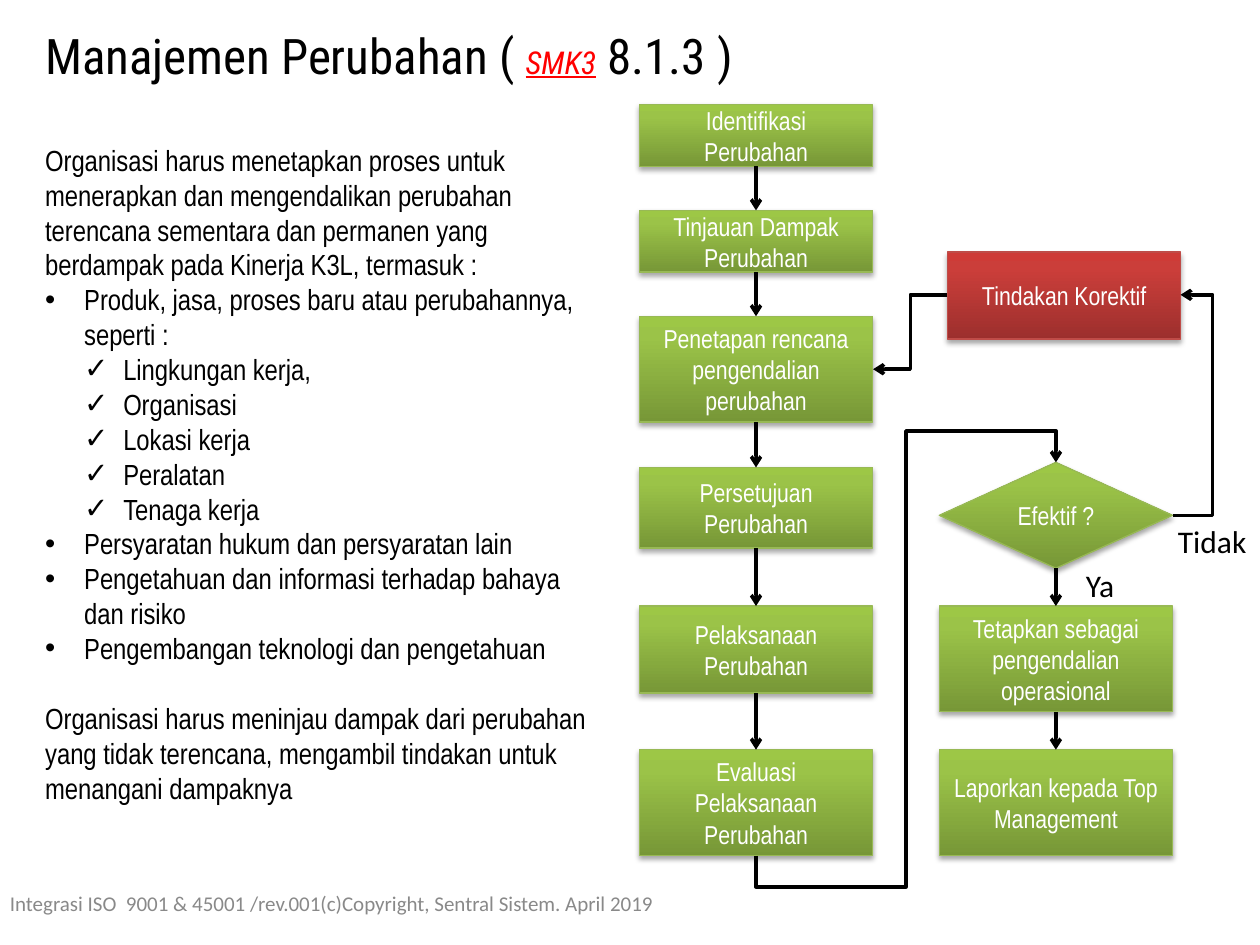
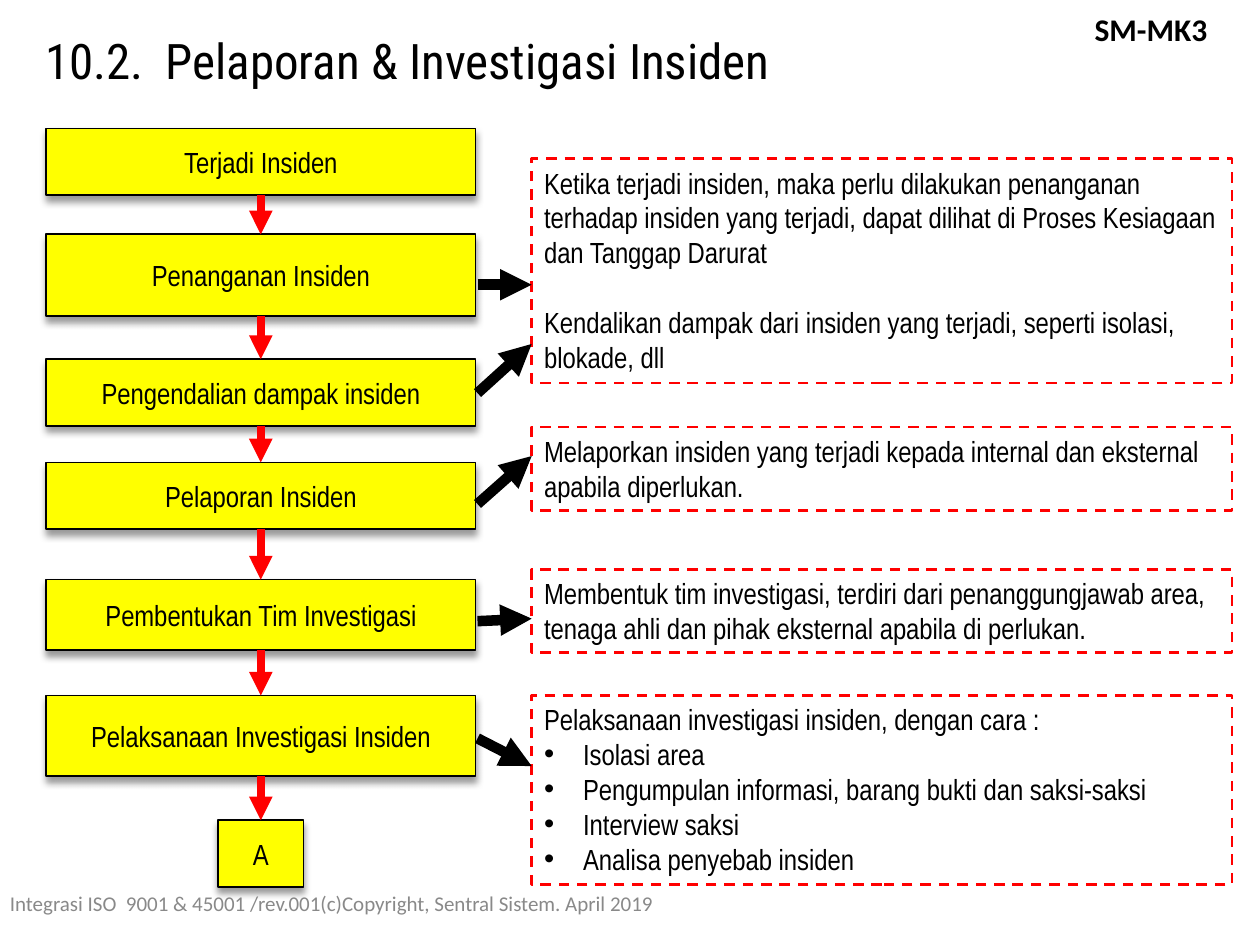
from copy import deepcopy

from pptx import Presentation
from pptx.dml.color import RGBColor
from pptx.enum.dml import MSO_LINE
from pptx.enum.shapes import MSO_CONNECTOR, MSO_SHAPE
from pptx.enum.text import MSO_ANCHOR, MSO_AUTO_SIZE, PP_ALIGN
from pptx.oxml.ns import qn
from pptx.oxml.xmlchemy import OxmlElement
from pptx.util import Inches, Pt

RECT = MSO_SHAPE.RECTANGLE
DECISION = MSO_SHAPE.FLOWCHART_DECISION
STRAIGHT = MSO_CONNECTOR.STRAIGHT
ELBOW = MSO_CONNECTOR.ELBOW
DASH = MSO_LINE.DASH
LEFT = PP_ALIGN.LEFT
CENTER = PP_ALIGN.CENTER
TOP = MSO_ANCHOR.TOP
MIDDLE = MSO_ANCHOR.MIDDLE
GROW = MSO_AUTO_SIZE.SHAPE_TO_FIT_TEXT
FIXED = MSO_AUTO_SIZE.NONE

BLACK = RGBColor(0x00, 0x00, 0x00)
WHITE = RGBColor(0xFF, 0xFF, 0xFF)
RED = RGBColor(0xFF, 0x00, 0x00)
YELLOW = RGBColor(0xFF, 0xFF, 0x00)
GRAY = RGBColor(0x89, 0x89, 0x89)
GREEN_EDGE = RGBColor(0x98, 0xB9, 0x55)
GREENS = [RGBColor(0x77, 0x97, 0x37), RGBColor(0x9B, 0xC3, 0x48), RGBColor(0x9D, 0xC7, 0x46)]
BRICK_EDGE = RGBColor(0xBF, 0x4C, 0x48)
BRICKS = [RGBColor(0x9C, 0x2F, 0x2D), RGBColor(0xCB, 0x3E, 0x3A), RGBColor(0xCE, 0x3B, 0x37)]

TITLE = {"name": "Roboto Condensed", "size": Pt(28), "color": BLACK}
TITLE_REF = {**TITLE, "size": Pt(18), "color": RED, "italic": True, "underline": True}
BODY = {"name": "Arial Narrow", "size": Pt(16.6), "color": BLACK}
STEP = {**BODY, "size": Pt(14.8), "color": WHITE}
LABEL = {"name": "Calibri", "size": Pt(18), "color": BLACK}
TAG = {**LABEL, "bold": True}
FOOTER = {**LABEL, "size": Pt(12), "color": GRAY}

GREEN_BOX = {"fill": GREENS, "edge": GREEN_EDGE, "weight": 0.75, "shadow": (35, 3.1, 1.8), "font": STEP}
RED_BOX = {**GREEN_BOX, "fill": BRICKS, "edge": BRICK_EDGE}
YELLOW_BOX = {"fill": YELLOW, "edge": BLACK, "weight": 1, "shadow": (40, 4, 3), "font": BODY}

FLOW_ARROW = {"color": BLACK, "weight": 2, "head": "arrow"}
RED_ARROW = {"color": RED, "weight": 4.5, "head": "triangle"}
NOTE_ARROW = {"color": BLACK, "weight": 6, "head": "triangle"}

INDENT = 0.31
PARAGRAPH_GAP = Pt(20)
FOOTER_TEXT = "Integrasi ISO  9001 & 45001 /rev.001(c)Copyright, Sentral Sistem. April 2019"


def add_xml(parent, tag, **attributes):
    child = OxmlElement(tag)
    for name, value in attributes.items():
        child.set(name, str(value))
    parent.append(child)
    return child


def bullet(text, char="•", level=1):
    return {"text": text, "char": char, "level": level}


def check(text):
    return bullet(text, "✓", 2)


def spaced(text):
    return {"text": text, "gap": PARAGRAPH_GAP}


class Deck:
    def __init__(self):
        self.prs = Presentation()
        self.prs.slide_width = Inches(10)
        self.prs.slide_height = Inches(7.5)
        self.shapes = None

    def new_slide(self, title, top):
        self.shapes = self.prs.slides.add_slide(self.prs.slide_layouts[6]).shapes
        self.text(0.26, top, 9.7, 0.57, [title], TITLE, auto=GROW)
        self.text(-0.02, 6.97, 5.36, 0.4, [FOOTER_TEXT], FOOTER, anchor=MIDDLE)

    def set_text(self, sp, paragraphs, fmt, align=LEFT, anchor=TOP, wrap=True, auto=FIXED):
        tf = sp.text_frame
        settings = {"word_wrap": wrap, "auto_size": auto, "vertical_anchor": anchor}
        for name, value in settings.items():
            setattr(tf, name, value)
        for i, item in enumerate(paragraphs):
            p = tf.add_paragraph() if i else tf.paragraphs[0]
            p.alignment = align
            if isinstance(item, dict):
                self.layout_paragraph(p, item)
                item = item["text"]
            for text, run_fmt in [(item, fmt)] if isinstance(item, str) else item:
                r = p.add_run()
                r.text = text
                for name, value in run_fmt.items():
                    if name == "color":
                        r.font.color.rgb = value
                    else:
                        setattr(r.font, name, value)

    def layout_paragraph(self, p, item):
        if "gap" in item:
            p.space_before = item["gap"]
        if "char" in item:
            pPr = p._p.get_or_add_pPr()
            pPr.set("marL", str(Inches(INDENT * item["level"])))
            pPr.set("indent", str(-Inches(INDENT)))
            add_xml(pPr, "a:buFont", typeface="Arial")
            add_xml(pPr, "a:buChar", char=item["char"])

    def text(self, x, y, w, h, paragraphs, fmt, **layout):
        sp = self.shapes.add_textbox(Inches(x), Inches(y), Inches(w), Inches(h))
        self.set_text(sp, paragraphs, fmt, **layout)

    def shape(self, x, y, w, h, edge, weight, kind=RECT):
        sp = self.shapes.add_shape(kind, Inches(x), Inches(y), Inches(w), Inches(h))
        sp.shadow.inherit = False
        sp.line.color.rgb = edge
        sp.line.width = Pt(weight)
        return sp

    def box(self, x, y, w, h, text, style, kind=RECT):
        sp = self.shape(x, y, w, h, style["edge"], style["weight"], kind)
        if isinstance(style["fill"], list):
            self.gradient(sp, style["fill"])
        else:
            sp.fill.solid()
            sp.fill.fore_color.rgb = style["fill"]
        opacity, blur, distance = style["shadow"]
        shadow = add_xml(sp._element.spPr.find(qn("a:effectLst")), "a:outerShdw",
                         blurRad=Pt(blur), dist=Pt(distance), dir=5400000, rotWithShape=0)
        color = add_xml(shadow, "a:srgbClr", val=BLACK)
        add_xml(color, "a:alpha", val=opacity * 1000)
        self.set_text(sp, [text], style["font"], CENTER, MIDDLE)

    def gradient(self, sp, colors):
        sp.fill.gradient()
        sp.fill.gradient_angle = 90
        stops = sp._element.spPr.find(".//" + qn("a:gsLst"))
        stops.append(deepcopy(stops[-1]))
        for stop, position, color in zip(sp.fill.gradient_stops, (0, 0.8, 1), colors):
            stop.position = position
            stop.color.rgb = color

    def note(self, y, h, paragraphs):
        sp = self.shape(4.22, y, 5.56, h, RED, 1.5)
        sp.fill.background()
        sp.line.dash_style = DASH
        self.set_text(sp, paragraphs, BODY, auto=GROW)

    def arrow(self, start, end, style, kind=STRAIGHT, bends=()):
        points = [Inches(v) for v in (*start, *end)]
        line = self.shapes.add_connector(kind, *points)
        line.line.color.rgb = style["color"]
        line.line.width = Pt(style["weight"])
        spPr = line._element.spPr
        add_xml(spPr.find(qn("a:ln")), "a:tailEnd", type=style["head"])
        add_xml(spPr, "a:effectLst")
        guides = spPr.find(".//" + qn("a:avLst"))
        names = ["adj1", "adj2", "adj3"] if len(bends) > 1 else ["adj1"]
        for name, bend in zip(names, bends):
            add_xml(guides, "a:gd", name=name, fmla=f"val {round(bend * 100000)}")
        return line

    def loop_arrow(self, start, end, style, bends):
        (x1, y1), (x2, y2) = start, end
        cx, cy = (x1 + x2) / 2, (y1 + y2) / 2
        dx, dy = abs(y2 - y1) / 2, abs(x2 - x1) / 2
        line = self.arrow((cx + dx, cy + dy), (cx - dx, cy - dy), style, ELBOW, bends)
        spPr = line._element.spPr
        spPr.find(qn("a:prstGeom")).set("prst", "bentConnector5")
        spPr.find(qn("a:xfrm")).set("rot", "5400000")

    def column(self, center, width, steps, style, arrow):
        previous_bottom = None
        for text, top, height, *options in steps:
            extra = options[0] if options else {}
            w = extra.get("width", width)
            self.box(center - w / 2, top, w, height, text, style, extra.get("kind", RECT))
            if previous_bottom is not None:
                self.arrow((center, previous_bottom), (center, top), arrow)
            previous_bottom = top + height


def change_management(deck):
    title = [("Manajemen Perubahan ( ", TITLE), ("SMK3", TITLE_REF), (" 8.1.3 )", TITLE)]
    deck.new_slide(title, 0.15)
    deck.text(0.26, 1.08, 4.55, 5.42, [
        "Organisasi harus menetapkan proses untuk menerapkan dan mengendalikan perubahan "
        "terencana sementara dan permanen yang berdampak pada Kinerja K3L, termasuk :",
        bullet("Produk, jasa, proses baru atau perubahannya, seperti :"),
        check("Lingkungan kerja,"),
        check("Organisasi"),
        check("Lokasi kerja"),
        check("Peralatan"),
        check("Tenaga kerja"),
        bullet("Persyaratan hukum dan persyaratan lain"),
        bullet("Pengetahuan dan informasi terhadap bahaya dan risiko"),
        bullet("Pengembangan teknologi dan pengetahuan"),
        spaced("Organisasi harus meninjau dampak dari perubahan yang tidak terencana, "
               "mengambil tindakan untuk menangani dampaknya"),
    ], BODY, auto=GROW)
    deck.column(6, 1.85, [
        ("Identifikasi Perubahan", 0.83, 0.49),
        ("Tinjauan Dampak Perubahan", 1.67, 0.49),
        ("Penetapan rencana pengendalian perubahan", 2.51, 0.84),
        ("Persetujuan Perubahan", 3.71, 0.64),
        ("Pelaksanaan Perubahan", 4.81, 0.69),
        ("Evaluasi Pelaksanaan Perubahan", 5.95, 0.84),
    ], GREEN_BOX, FLOW_ARROW)
    deck.column(8.38, 1.85, [
        ("Efektif ?", 3.67, 0.84, {"kind": DECISION}),
        ("Tetapkan sebagai pengendalian operasional", 4.81, 0.84),
        ("Laporkan kepada Top Management", 5.95, 0.84),
    ], GREEN_BOX, FLOW_ARROW)
    deck.box(7.52, 2, 1.85, 0.69, "Tindakan Korektif", RED_BOX)
    deck.loop_arrow((6, 6.79), (8.38, 3.67), FLOW_ARROW, (-0.08, 0.5, 1.08))
    deck.arrow((9.31, 4.09), (9.37, 2.34), FLOW_ARROW, ELBOW, (5.25,))
    deck.arrow((7.52, 2.34), (6.93, 2.93), FLOW_ARROW, ELBOW, (0.5,))
    deck.text(8.52, 4.44, 0.43, 0.4, ["Ya"], LABEL, wrap=False, auto=GROW)
    deck.text(9.25, 4.09, 0.75, 0.4, ["Tidak"], LABEL, wrap=False, auto=GROW)


def incident_reporting(deck):
    deck.new_slide("10.2.  Pelaporan & Investigasi Insiden", 0.19)
    deck.text(8.32, 0.03, 1.63, 0.49, ["SM-MK3"], TAG, align=CENTER)
    deck.column(2.07, 3.41, [
        ("Terjadi Insiden", 1.02, 0.53),
        ("Penanganan Insiden", 1.86, 0.65),
        ("Pengendalian dampak insiden", 2.85, 0.53),
        ("Pelaporan Insiden", 3.67, 0.53),
        ("Pembentukan Tim Investigasi", 4.6, 0.56),
        ("Pelaksanaan Investigasi Insiden", 5.52, 0.64),
        ("A", 6.51, 0.53, {"width": 0.68}),
    ], YELLOW_BOX, RED_ARROW)
    deck.note(1.26, 1.78, [
        "Ketika terjadi insiden, maka perlu dilakukan penanganan terhadap insiden yang terjadi, "
        "dapat dilihat di Proses Kesiagaan dan Tanggap Darurat",
        spaced("Kendalikan dampak dari insiden yang terjadi, seperti isolasi, blokade, dll"),
    ])
    deck.note(3.39, 0.66, [
        "Melaporkan insiden yang terjadi kepada internal dan eksternal apabila diperlukan."])
    deck.note(4.52, 0.66, [
        "Membentuk tim investigasi, terdiri dari penanggungjawab area, tenaga ahli dan pihak "
        "eksternal apabila di perlukan."])
    deck.note(5.52, 1.5, [
        "Pelaksanaan investigasi insiden, dengan cara :",
        bullet("Isolasi area"),
        bullet("Pengumpulan informasi, barang bukti dan saksi-saksi"),
        bullet("Interview saksi"),
        bullet("Analisa penyebab insiden"),
    ])
    for step_y, note_y in [(2.26, 2.26), (3.12, 2.73), (4, 3.62), (4.93, 4.91), (5.86, 6.08)]:
        deck.arrow((3.79, step_y), (4.22, note_y), NOTE_ARROW)


def main():
    deck = Deck()
    change_management(deck)
    incident_reporting(deck)
    deck.prs.save("out.pptx")


if __name__ == "__main__":
    main()
